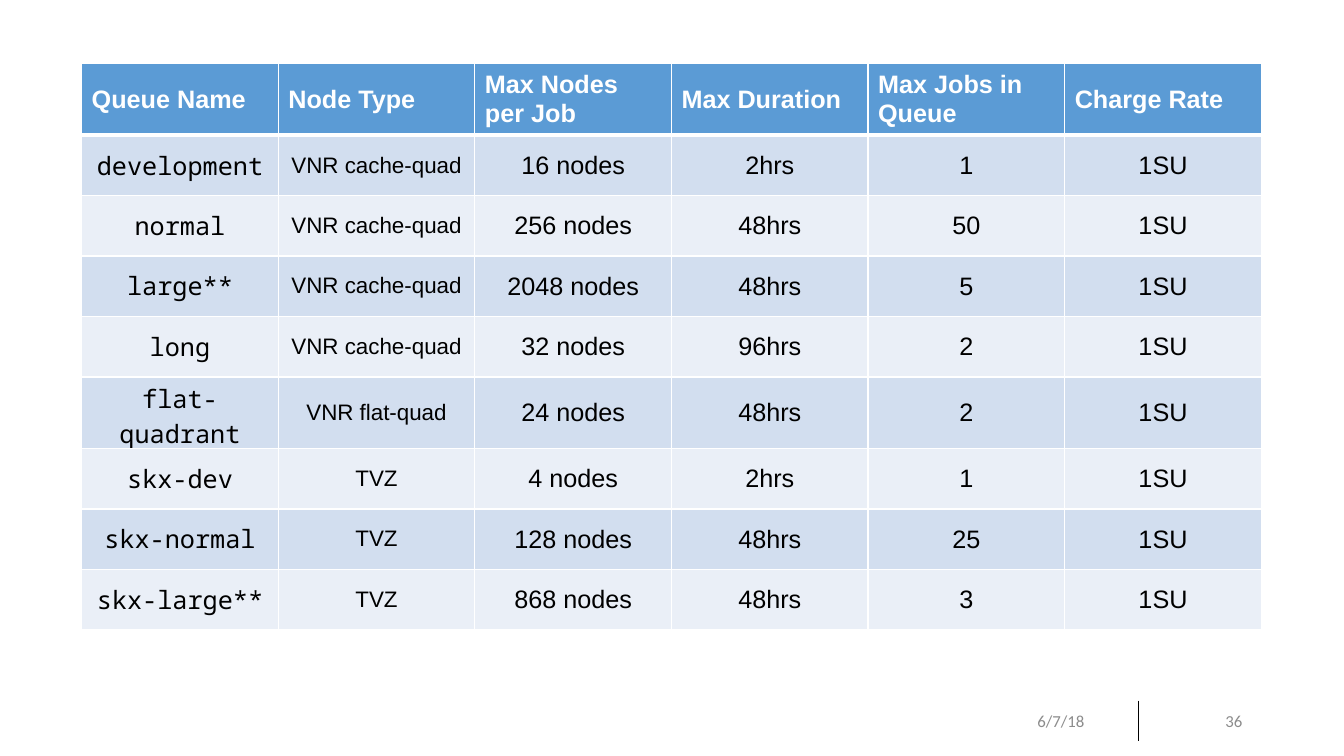
from lxml.etree import SubElement
from pptx import Presentation
from pptx.dml.color import RGBColor
from pptx.enum.shapes import MSO_CONNECTOR
from pptx.enum.text import MSO_ANCHOR, PP_ALIGN
from pptx.oxml.ns import qn
from pptx.util import Inches, Pt

WHITE = RGBColor(0xFF, 0xFF, 0xFF)
BLACK = RGBColor(0x00, 0x00, 0x00)
GRAY = RGBColor(0x8C, 0x8C, 0x8C)
HEADER_BLUE = RGBColor(0x5B, 0x9B, 0xD5)
BAND_DARK = RGBColor(0xD2, 0xDE, 0xEF)
BAND_LIGHT = RGBColor(0xEA, 0xEF, 0xF7)

HEADERS = ["Queue Name", "Node Type", "Max Nodes per Job",
           "Max Duration", "Max Jobs in Queue", "Charge Rate"]
QUEUES = [
    ["development", "VNR cache-quad", "16 nodes", "2hrs", "1", "1SU"],
    ["normal", "VNR cache-quad", "256 nodes", "48hrs", "50", "1SU"],
    ["large**", "VNR cache-quad", "2048 nodes", "48hrs", "5", "1SU"],
    ["long", "VNR cache-quad", "32 nodes", "96hrs", "2", "1SU"],
    ["flat-quadrant", "VNR flat-quad", "24 nodes", "48hrs", "2", "1SU"],
    ["skx-dev", "TVZ", "4 nodes", "2hrs", "1", "1SU"],
    ["skx-normal", "TVZ", "128 nodes", "48hrs", "25", "1SU"],
    ["skx-large**", "TVZ", "868 nodes", "48hrs", "3", "1SU"],
]
ROW_HEIGHTS = [0.71, 0.6, 0.6, 0.6, 0.6, 0.71, 0.6, 0.6, 0.6]
COLUMN_WIDTH = 1.95


def style_paragraph(paragraph, font_name, size, color, alignment, bold=False):
    paragraph.alignment = alignment
    for run in paragraph.runs:
        run.font.name = font_name
        run.font.size = Pt(size)
        run.font.color.rgb = color
        run.font.bold = bold


def set_borders(cell, top, bottom):
    properties = cell._tc.get_or_add_tcPr()
    for side, width in (("L", 1), ("R", 1), ("T", top), ("B", bottom)):
        line = SubElement(properties, qn(f"a:ln{side}"), w=str(Pt(width)))
        fill = SubElement(line, qn("a:solidFill"))
        SubElement(fill, qn("a:srgbClr"), val=str(WHITE))


def fill_cell(cell, text, row, column):
    is_header = row == 0
    set_borders(cell, 3 if row == 1 else 1, 3 if is_header else 1)
    cell.fill.solid()
    cell.vertical_anchor = MSO_ANCHOR.MIDDLE
    cell.text_frame.text = text
    paragraph = cell.text_frame.paragraphs[0]
    if is_header:
        cell.fill.fore_color.rgb = HEADER_BLUE
        style_paragraph(paragraph, "Arial", 18, WHITE, PP_ALIGN.LEFT, True)
    else:
        cell.fill.fore_color.rgb = BAND_DARK if row % 2 else BAND_LIGHT
        font_name = "Noto Sans Mono" if column == 0 else "Arial"
        size = 16 if column == 1 else 18
        style_paragraph(paragraph, font_name, size, BLACK, PP_ALIGN.CENTER)


def add_queue_table(slide):
    rows = [HEADERS] + QUEUES
    table = slide.shapes.add_table(
        len(rows), len(HEADERS), Inches(0.81), Inches(0.63),
        Inches(COLUMN_WIDTH * len(HEADERS)), Inches(sum(ROW_HEIGHTS))).table
    for column in table.columns:
        column.width = Inches(COLUMN_WIDTH)
    for row, (texts, height) in enumerate(zip(rows, ROW_HEIGHTS)):
        table.rows[row].height = Inches(height)
        for column, text in enumerate(texts):
            fill_cell(table.cell(row, column), text, row, column)


def add_footer_text(slide, left, text, alignment):
    box = slide.shapes.add_textbox(Inches(left), Inches(6.95), Inches(0.86), Inches(0.4))
    text_frame = box.text_frame
    text_frame.word_wrap = True
    text_frame.vertical_anchor = MSO_ANCHOR.MIDDLE
    text_frame.text = text
    style_paragraph(text_frame.paragraphs[0], "Calibri", 12, GRAY, alignment)


def add_footer_divider(slide):
    divider = slide.shapes.add_connector(
        MSO_CONNECTOR.STRAIGHT, Inches(11.29), Inches(6.95), Inches(11.29), Inches(7.35))
    divider.line.color.rgb = BLACK
    divider.line.width = Pt(0.5)
    SubElement(divider._element.spPr, qn("a:effectLst"))


def main():
    presentation = Presentation()
    presentation.slide_width = Inches(13.33)
    presentation.slide_height = Inches(7.5)
    slide = presentation.slides.add_slide(presentation.slide_layouts[6])
    add_footer_divider(slide)
    add_footer_text(slide, 10.19, "6/7/18", PP_ALIGN.LEFT)
    add_footer_text(slide, 11.56, "36", PP_ALIGN.RIGHT)
    add_queue_table(slide)
    presentation.save("out.pptx")


if __name__ == "__main__":
    main()
